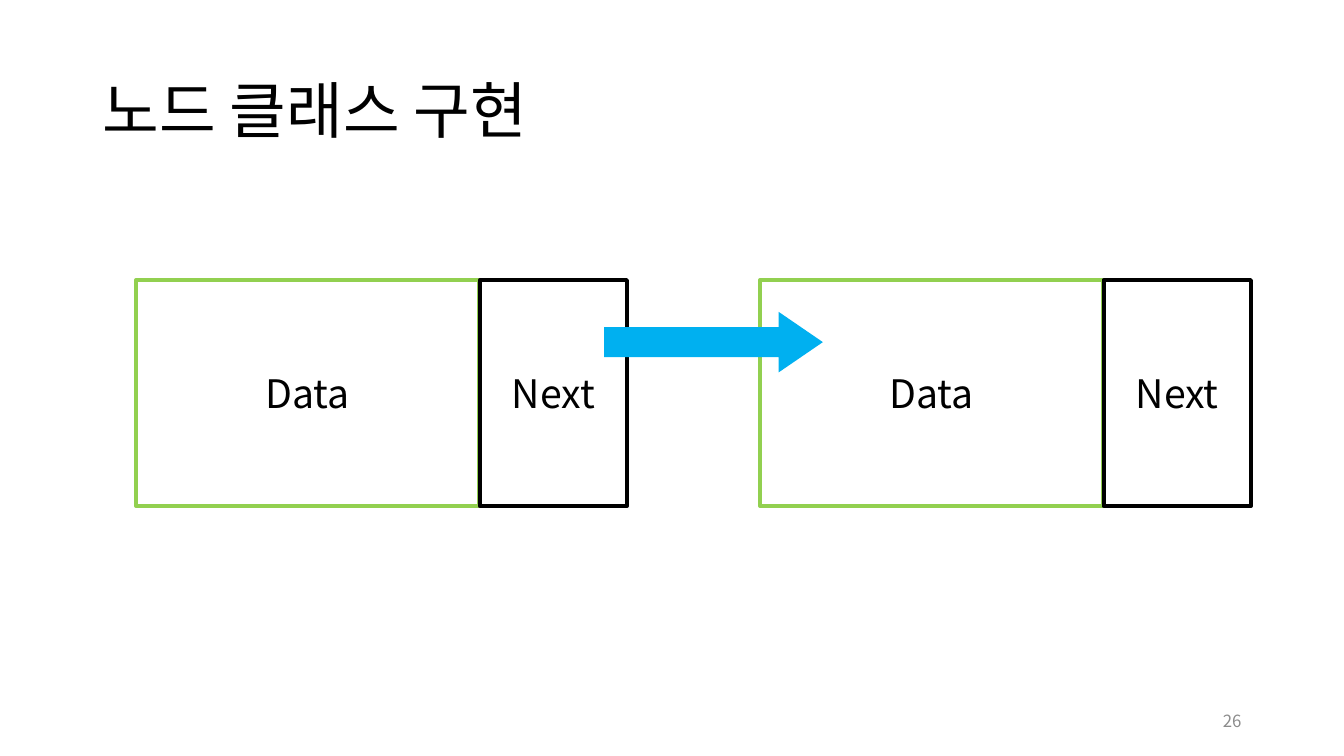
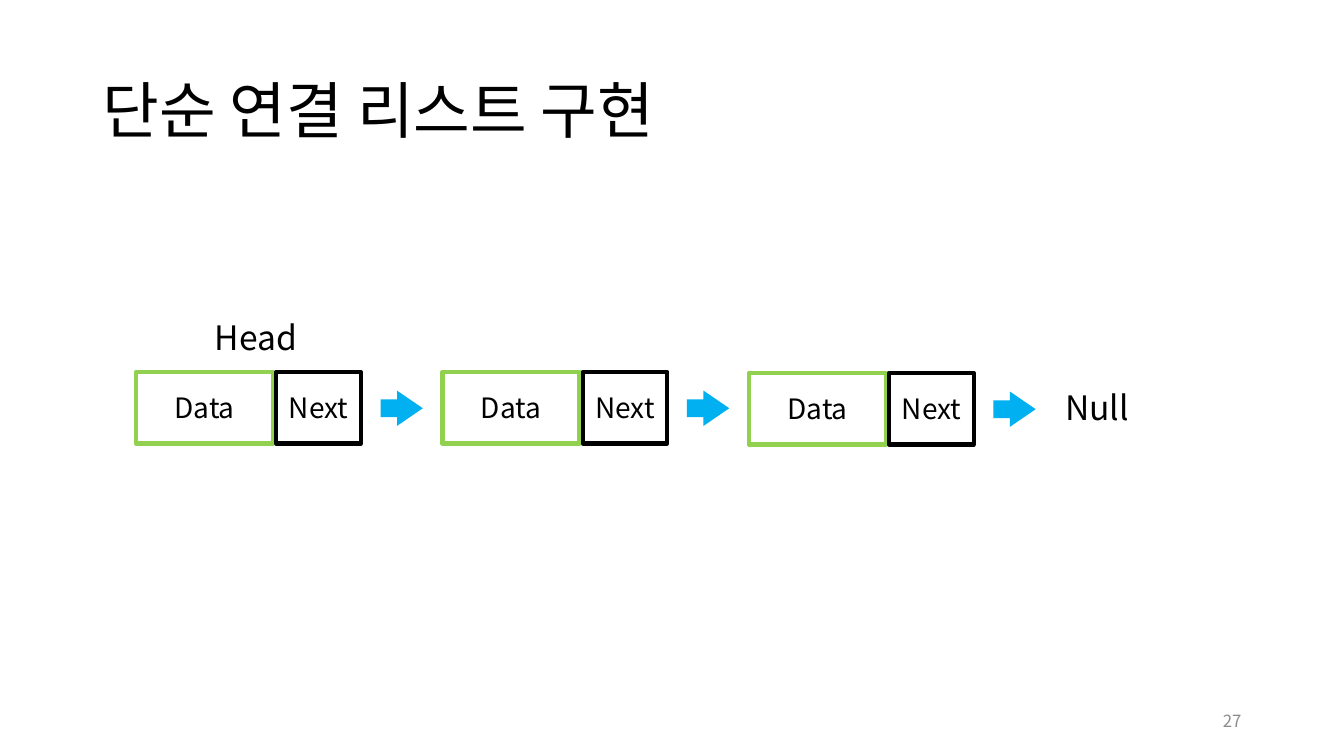
"""Build two slides on linked-list nodes."""
from dataclasses import dataclass

from lxml import etree
from pptx import Presentation
from pptx.dml.color import RGBColor
from pptx.enum.shapes import MSO_SHAPE
from pptx.enum.text import MSO_ANCHOR, MSO_AUTO_SIZE, PP_ALIGN
from pptx.oxml.ns import qn
from pptx.util import Pt

RECT, ARROW = MSO_SHAPE.RECTANGLE, MSO_SHAPE.RIGHT_ARROW
LEFT, MID, RIGHT = PP_ALIGN.LEFT, PP_ALIGN.CENTER, PP_ALIGN.RIGHT
TOP, CENTER = MSO_ANCHOR.TOP, MSO_ANCHOR.MIDDLE
FIXED = MSO_AUTO_SIZE.NONE

BLACK = RGBColor(0x00, 0x00, 0x00)
WHITE = RGBColor(0xFF, 0xFF, 0xFF)
GRAY = RGBColor(0x8C, 0x8C, 0x8C)
GREEN = RGBColor(0x92, 0xD0, 0x50)
BLUE = RGBColor(0x00, 0xB0, 0xF0)
FONT = "Noto Sans CJK KR"


@dataclass(frozen=True)
class Box:
    """A frame in points."""
    x: float
    y: float
    w: float
    h: float

    def shift(self, dx: float, dy: float = 0):
        """Return the frame moved by an offset."""
        return Box(self.x + dx, self.y + dy, self.w, self.h)

    def args(self) -> list:
        """Return the frame as lengths."""
        return [Pt(n) for n in (self.x, self.y, self.w, self.h)]


@dataclass(frozen=True)
class Chain:
    """Frames of the first node, its pitch and its drops."""
    data: Box
    next: Box
    arrow: Box
    step: float
    drops: tuple
    links: int
    size: int


TITLE = Box(66.24, 28.8, 828, 104.4)
NUMBER = Box(678, 500.4, 216, 28.8)
PAIR = Chain(Box(97.2, 200.16, 244.8, 161.3), Box(342.7, 200.16, 105.1, 161.3),
             Box(431.6, 222.8, 156.2, 43.2), 445.7, (0, 0), 1, 28)
LIST = Chain(Box(97.2, 265.7, 97.9, 51.1), Box(197.3, 265.7, 60.5, 51.1),
             Box(271.8, 279, 30.2, 25.2), 218.9, (0, 0, 0.7), 3, 20)


def write(shape, text: str, *, size: float, color: RGBColor = BLACK,
          align=LEFT, anchor=CENTER, spacing: float = 1.0) -> None:
    """Put formatted text into a shape."""
    frame = shape.text_frame
    frame.text = text
    frame.word_wrap = True
    frame.auto_size = FIXED
    frame.vertical_anchor = anchor
    para = frame.paragraphs[0]
    para.alignment = align
    para.line_spacing = spacing
    run = para.runs[0]
    run.font.name = FONT
    run.font.size = Pt(size)
    run.font.color.rgb = color
    east = etree.SubElement(run.font._element, qn("a:ea"))
    east.set("typeface", FONT)


def label(slide, box: Box, text: str, **style) -> None:
    """Add a text box."""
    write(slide.shapes.add_textbox(*box.args()), text, **style)


def cell(slide, box: Box, text: str, line: RGBColor, size: int) -> None:
    """Add one outlined part of a node."""
    shape = slide.shapes.add_shape(RECT, *box.args())
    shape.shadow.inherit = False
    shape.fill.solid()
    shape.fill.fore_color.rgb = WHITE
    shape.line.color.rgb = line
    shape.line.width = Pt(3)
    write(shape, text, size=size, align=MID)


def arrow(slide, box: Box) -> None:
    """Add a blue block arrow."""
    shape = slide.shapes.add_shape(ARROW, *box.args())
    shape.shadow.inherit = False
    shape.adjustments[0] = 0.5
    shape.adjustments[1] = 0.73
    shape.fill.solid()
    shape.fill.fore_color.rgb = BLUE
    shape.line.fill.background()


def draw(slide, chain: Chain) -> None:
    """Draw the nodes of a chain, then the arrows over them."""
    for i, drop in enumerate(chain.drops):
        dx = i * chain.step
        cell(slide, chain.data.shift(dx, drop), "Data", GREEN, chain.size)
        cell(slide, chain.next.shift(dx, drop), "Next", BLACK, chain.size)
    for i, drop in enumerate(chain.drops[:chain.links]):
        arrow(slide, chain.arrow.shift(i * chain.step, drop))


def page(deck, title: str, number: int):
    """Add a slide with its title and number."""
    slide = deck.slides.add_slide(deck.slide_layouts[5])
    head = slide.shapes.title
    head.left, head.top, head.width, head.height = TITLE.args()
    write(head, title, size=44, spacing=0.9)
    label(slide, NUMBER, str(number), size=12, color=GRAY, align=RIGHT)
    return slide


def main() -> None:
    """Build and save the deck."""
    deck = Presentation()
    deck.slide_width, deck.slide_height = Pt(960), Pt(540)
    draw(page(deck, "노드 클래스 구현", 26), PAIR)
    slide = page(deck, "단순 연결 리스트 구현", 27)
    draw(slide, LIST)
    label(slide, Box(753.8, 272.9, 97.9, 36), "Null", size=24, anchor=TOP)
    label(slide, Box(146.2, 222.5, 97.9, 36), "Head", size=24, anchor=TOP)
    deck.save("out.pptx")


if __name__ == "__main__":
    main()
